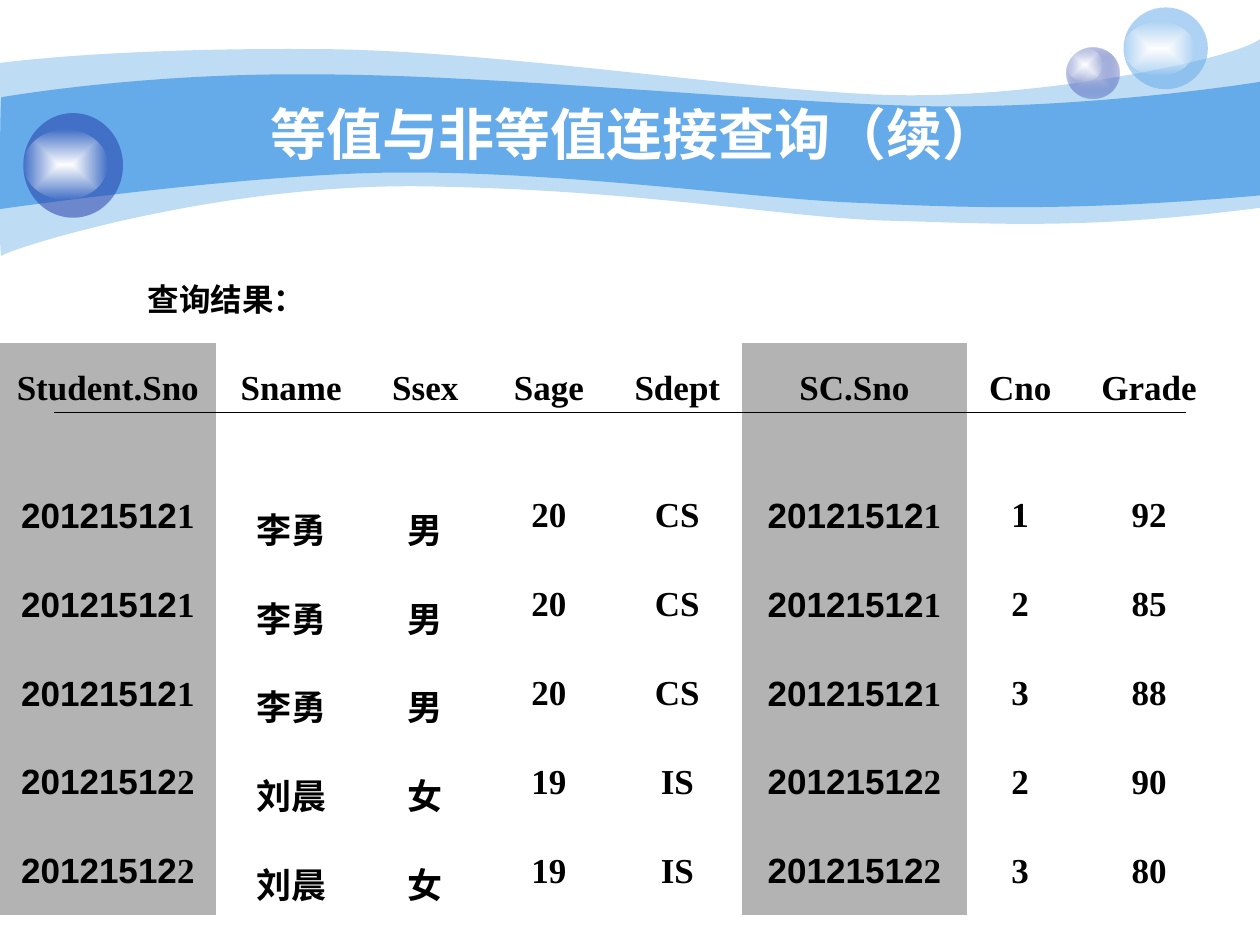
from dataclasses import dataclass

from lxml import etree
from pptx import Presentation
from pptx.dml.color import RGBColor
from pptx.enum.shapes import MSO_CONNECTOR, MSO_SHAPE
from pptx.enum.text import MSO_ANCHOR, MSO_AUTO_SIZE, PP_ALIGN
from pptx.oxml import parse_xml
from pptx.oxml.ns import nsdecls, qn
from pptx.util import Cm, Pt

ELLIPSE = MSO_SHAPE.OVAL
STRAIGHT = MSO_CONNECTOR.STRAIGHT
CENTER = PP_ALIGN.CENTER
MIDDLE = MSO_ANCHOR.MIDDLE
FIT_SHAPE = MSO_AUTO_SIZE.SHAPE_TO_FIT_TEXT
TITLE_ONLY = 5
NO_TABLE_STYLE = "{2D5ABB26-0587-4C30-8999-92F81FD0307C}"


@dataclass(frozen=True)
class Theme:
    sky: str = "65AAE9"
    navy: str = "233DA9"
    lavender: str = "C7CEE9"
    white: str = "FFFFFF"
    black: str = "000000"
    shade: str = "B3B3B3"
    sans: str = "Arial"
    serif: str = "Times New Roman"
    title_size: int = 32
    label_size: int = 18
    table_size: int = 20


THEME = Theme()

# Wave outlines in cm: a start, then curves (three points) or lines (one point)
OUTER_WAVE = ((0, 1.27), [
    [(0.61, 1.19), (2.72, 0.97), (6.27, 0.99)],
    [(9.8, 0.99), (14.61, 1.78), (17.75, 1.91)],
    [(20.88, 2.03), (24.89, 1.19), (25.4, 0.79)],
    [(25.4, 4.19)],
    [(21.79, 4.65), (19.99, 4.5), (17.91, 4.45)],
    [(15.8, 4.39), (13.08, 3.84), (8.71, 3.76)],
    [(4.37, 3.66), (0.1, 5.05), (0.03, 5.16)],
    [(-0.03, 5.28), (0, 1.91), (0, 1.27)],
])
INNER_WAVE = ((0.03, 1.96), [
    [(0.05, 1.96), (2.79, 1.47), (6.3, 1.5)],
    [(9.8, 1.5), (15.11, 2.03), (18.24, 2.13)],
    [(21.36, 2.24), (24.79, 1.75), (25.4, 1.65)],
    [(25.4, 3.94)],
    [(21.67, 4.27), (19.43, 4.19), (17.32, 4.09)],
    [(15.21, 4.01), (11.35, 3.45), (8.05, 3.48)],
    [(5.16, 3.48), (-0.05, 4.22), (-0.03, 4.22)],
    [(0, 4.22), (0, 1.96), (0.03, 1.96)],
])

COLUMN_WIDTHS = [4.37, 3.02, 2.39, 2.59, 2.59, 4.55, 2.13, 3.07]
HEADER_HEIGHT, ROW_HEIGHT = 2.57, 1.79
HEADINGS = ["Student.Sno", "Sname", "Ssex", "Sage", "Sdept", "SC.Sno", "Cno", "Grade"]
STUDENTS = {
    "201215121": ["李勇", "男", "20", "CS"],
    "201215122": ["刘晨", "女", "19", "IS"],
}
GRADES = [
    ("201215121", "1", "92"),
    ("201215121", "2", "85"),
    ("201215121", "3", "88"),
    ("201215122", "2", "90"),
    ("201215122", "3", "80"),
]
NUMBER_COLUMNS = (0, 5)


def style_font(font, size, color, name):
    font.size, font.bold, font.name = Pt(size), True, name
    font.color.rgb = RGBColor.from_string(color)


def fill_solid(shape, color, opacity=100):
    shape.shadow.inherit = False
    shape.line.fill.background()
    shape.fill.solid()
    shape.fill.fore_color.rgb = RGBColor.from_string(color)
    if opacity < 100:
        color_element = shape.element.spPr.find(".//" + qn("a:srgbClr"))
        etree.SubElement(color_element, qn("a:alpha")).set("val", str(opacity * 1000))


def fill_glow(shape, inner, outer, outer_opacity):
    """Fill from the inner colour at the centre to a translucent outer colour."""
    fill_solid(shape, inner)
    solid = shape.element.spPr.find(qn("a:solidFill"))
    gradient = parse_xml(
        f'<a:gradFill {nsdecls("a")} rotWithShape="1"><a:gsLst>'
        f'<a:gs pos="0"><a:srgbClr val="{inner}"/></a:gs>'
        f'<a:gs pos="100000"><a:srgbClr val="{outer}">'
        f'<a:alpha val="{outer_opacity * 1000}"/></a:srgbClr></a:gs></a:gsLst>'
        '<a:path path="rect"><a:fillToRect l="50000" t="50000" r="50000" b="50000"/>'
        '</a:path></a:gradFill>')
    solid.getparent().replace(solid, gradient)


def bend_segments(shape, segments):
    """Turn the three lines drawn for each curve into one cubic Bezier segment."""
    lines = iter(shape.element.findall(".//" + qn("a:lnTo")))
    for segment in segments:
        pieces = [next(lines) for _ in segment]
        if len(pieces) == 1:
            continue
        curve = etree.Element(qn("a:cubicBezTo"))
        pieces[0].addprevious(curve)
        for piece in pieces:
            curve.append(piece[0])
            piece.getparent().remove(piece)


def add_wave(slide, left, top, outline, opacity):
    start, segments = outline
    points = [start] + [point for segment in segments for point in segment]
    placed = [(Cm(left + x), Cm(top + y)) for x, y in points]
    builder = slide.shapes.build_freeform(*placed[0], scale=1.0)
    builder.add_line_segments(placed[1:], close=True)
    wave = builder.convert_to_shape()
    bend_segments(wave, segments)
    fill_solid(wave, THEME.sky, opacity)


def add_bubble(slide, left, top, width, height, shine):
    """Add a ball and its highlight; shine is (top, width, height) as shares of the ball."""
    shine_top, shine_width, shine_height = shine
    group = slide.shapes.add_group_shape()
    ball = group.shapes.add_shape(ELLIPSE, Cm(left), Cm(top), Cm(width), Cm(height))
    highlight = group.shapes.add_shape(
        ELLIPSE, Cm(left), Cm(top + shine_top * height),
        Cm(shine_width * width), Cm(shine_height * height))
    fill_glow(highlight, THEME.white, THEME.white, 0)
    return ball


def add_header(slide, left, top, width):
    # Waves and bubbles
    add_wave(slide, left, top, OUTER_WAVE, 41)
    add_wave(slide, left, top, INNER_WAVE, 100)
    small = add_bubble(slide, left + 21.5, top + 0.96, 1.07, 1.02, (0, 0.67, 0.67))
    fill_glow(small, THEME.lavender, THEME.navy, 31)
    pale = add_bubble(slide, left + 22.65, top + 0.15, 1.7, 1.65, (0.17, 0.84, 0.66))
    fill_solid(pale, THEME.sky, 53)
    dark = add_bubble(slide, left + 0.47, top + 2.28, 2.01, 2.11, (0.16, 0.84, 0.67))
    fill_solid(dark, THEME.navy, 53)

    # Title, brought in front of the waves
    title = slide.shapes.title
    title.element.getparent().append(title.element)
    title.left, title.top = Cm(left + 2.54), Cm(top + 1.9)
    title.width, title.height = Cm(width - 4.88), Cm(1.57)
    title.text_frame.text = "等值与非等值连接查询（续）"
    title.text_frame.vertical_anchor = MIDDLE
    paragraph = title.text_frame.paragraphs[0]
    paragraph.alignment = CENTER
    style_font(paragraph.font, THEME.title_size, THEME.white, THEME.sans)


def add_label(slide, left, top, width, height):
    frame = slide.shapes.add_textbox(Cm(left), Cm(top), Cm(width), Cm(height)).text_frame
    frame.word_wrap, frame.auto_size = False, FIT_SHAPE
    paragraph = frame.paragraphs[0]
    paragraph.text, paragraph.alignment = "查询结果：", CENTER
    style_font(paragraph.font, THEME.label_size, THEME.black, THEME.serif)


def fill_cell(cell, text, shaded, is_number):
    if shaded:
        cell.fill.solid()
        cell.fill.fore_color.rgb = RGBColor.from_string(THEME.shade)
    else:
        cell.fill.background()
    paragraph = cell.text_frame.paragraphs[0]
    paragraph.alignment, paragraph.line_spacing = CENTER, 1.5
    # Student numbers are sans serif up to their last digit
    parts = [(text[:-1], THEME.sans), (text[-1], THEME.serif)] if is_number else [(text, THEME.serif)]
    for part, name in parts:
        run = paragraph.add_run()
        run.text = part
        style_font(run.font, THEME.table_size, THEME.black, name)


def add_result_table(slide, left, top, width):
    rows = [HEADINGS] + [[number, *STUDENTS[number], number, course, grade]
                         for number, course, grade in GRADES]
    heights = [HEADER_HEIGHT] + [ROW_HEIGHT] * len(GRADES)
    table = slide.shapes.add_table(len(rows), len(HEADINGS), Cm(left), Cm(top),
                                   Cm(width), Cm(sum(heights))).table
    table.first_row = table.horz_banding = False
    table._tbl.tblPr.find(qn("a:tableStyleId")).text = NO_TABLE_STYLE
    for column, column_width in zip(table.columns, COLUMN_WIDTHS):
        column.width = Cm(column_width)
    for r, (row, height) in enumerate(zip(rows, heights)):
        table.rows[r].height = Cm(height)
        for c, text in enumerate(row):
            shaded = c in NUMBER_COLUMNS
            fill_cell(table.cell(r, c), text, shaded, shaded and r > 0)


def add_heading_rule(slide, left, top, width):
    rule = slide.shapes.add_connector(STRAIGHT, Cm(left), Cm(top), Cm(left + width), Cm(top))
    rule.line.color.rgb = RGBColor.from_string(THEME.black)
    rule.line.width = Pt(0.75)
    etree.SubElement(rule.element.spPr, qn("a:effectLst"))


def main():
    presentation = Presentation()
    presentation.slide_width, presentation.slide_height = Cm(25.4), Cm(19.05)
    slide = presentation.slides.add_slide(presentation.slide_layouts[TITLE_ONLY])
    add_header(slide, 0, 0, 25.4)
    add_result_table(slide, -0.01, 6.92, sum(COLUMN_WIDTHS))
    add_label(slide, 1.77, 5.53, 5.59, 1.02)
    add_heading_rule(slide, 1.09, 8.32, 22.81)
    presentation.save("out.pptx")


if __name__ == "__main__":
    main()
